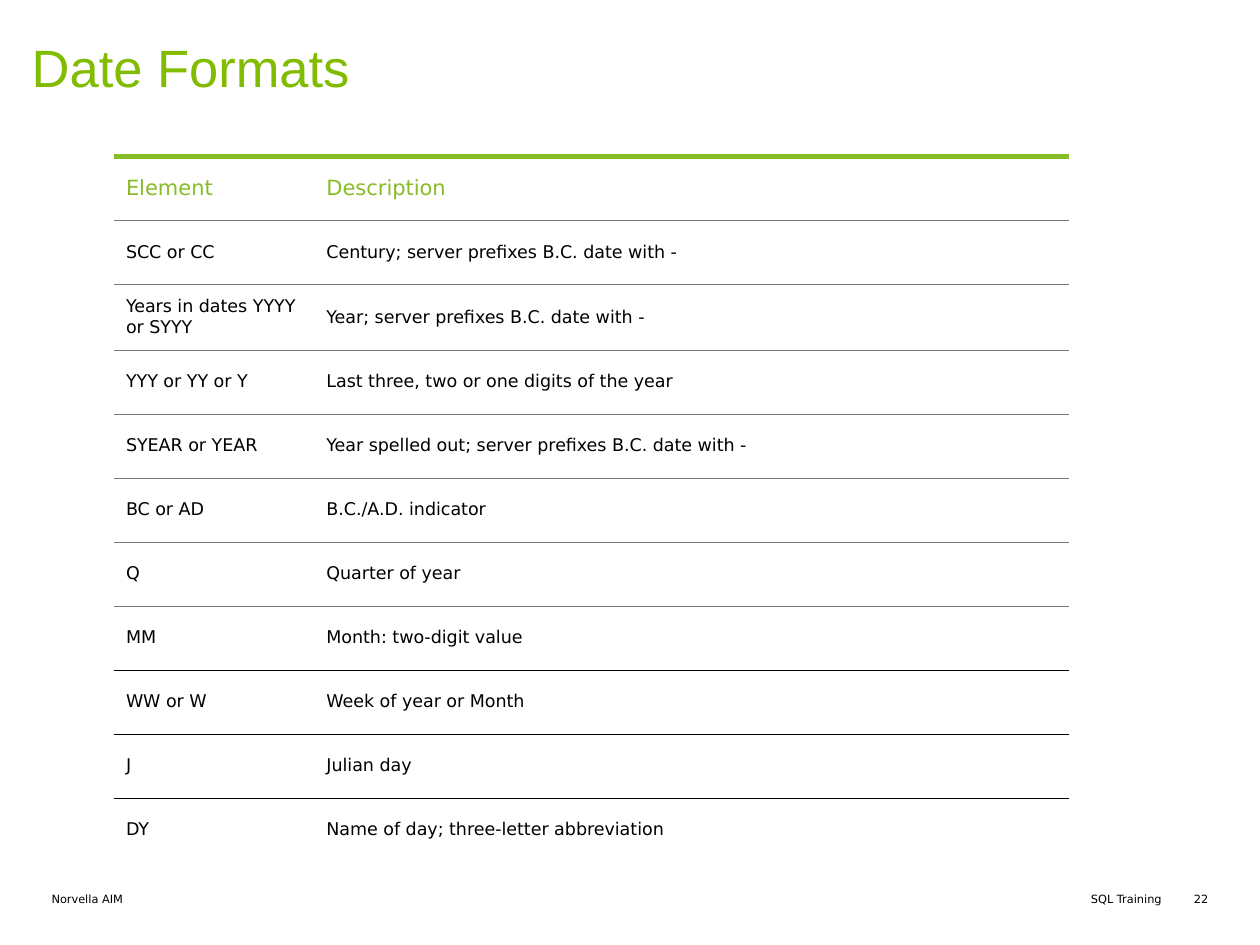
import pptx
import pptx.util
import pptx.dml.color
import pptx.enum.text
import pptx.oxml
import pptx.oxml.ns

Cm = pptx.util.Cm
Pt = pptx.util.Pt
RGBColor = pptx.dml.color.RGBColor
PP_ALIGN = pptx.enum.text.PP_ALIGN
MSO_ANCHOR = pptx.enum.text.MSO_ANCHOR

TITLE_GREEN = RGBColor(0x81, 0xBC, 0x00)
GREEN = RGBColor(0x86, 0xBC, 0x25)
GRAY = RGBColor(0x75, 0x78, 0x7B)
BLACK = RGBColor(0, 0, 0)
BODY_FONT = "DejaVu Sans"


def add_run(p, text, size, color, font=BODY_FONT):
    r = p.add_run()
    r.text = text
    r.font.size = Pt(size)
    r.font.name = font
    r.font.bold = False
    r.font.color.rgb = color


def set_borders(cell, top, bottom):
    sides = [("lnL", None), ("lnR", None), ("lnT", top), ("lnB", bottom)]
    for i, (tag, line) in enumerate(sides):
        if line:
            color, width = line
            fill = f'<a:solidFill><a:srgbClr val="{color}"/></a:solidFill>'
        else:
            width, fill = 0, "<a:noFill/>"
        ln = pptx.oxml.parse_xml(
            f'<a:{tag} {pptx.oxml.ns.nsdecls("a")} w="{Pt(width)}">{fill}</a:{tag}>'
        )
        cell._tc.get_or_add_tcPr().insert(i, ln)


prs = pptx.Presentation()
prs.slide_width = Cm(25.4)
prs.slide_height = Cm(19.05)
s = prs.slides.add_slide(prs.slide_layouts[5])

title = s.shapes.title
title.left, title.top, title.width, title.height = Cm(0.64), Cm(0.61), Cm(23.32), Cm(1.93)
tf = title.text_frame
tf.margin_left = tf.margin_right = tf.margin_bottom = 0
tf.margin_top = Cm(0.1)
tf.vertical_anchor = MSO_ANCHOR.TOP
p = tf.paragraphs[0]
p.alignment = PP_ALIGN.LEFT
add_run(p, "Date Formats", 30, TITLE_GREEN, "Arial")

rows = [
    ("Element", "Description"),
    ("SCC or CC", "Century; server prefixes B.C. date with -"),
    ("Years in dates YYYY or SYYY", "Year; server prefixes B.C. date with -"),
    ("YYY or YY or Y", "Last three, two or one digits of the year"),
    ("SYEAR or YEAR", "Year spelled out; server prefixes B.C. date with -"),
    ("BC or AD", "B.C./A.D. indicator"),
    ("Q", "Quarter of year"),
    ("MM", "Month: two-digit value"),
    ("WW or W", "Week of year or Month"),
    ("J", "Julian day"),
    ("DY", "Name of day; three-letter abbreviation"),
]
rules = [(GREEN, 3)] + [(GRAY, 0.25)] * 7 + [(BLACK, 0.25)] * 3 + [None]
col_widths = [Cm(4.04), Cm(15.21)]
row_height = Cm(1.29)

table = s.shapes.add_table(
    len(rows), 2, Cm(2.29), Cm(3.15), sum(col_widths), row_height * len(rows)
).table
table.first_row = False
table.horz_banding = False
for col, width in zip(table.columns, col_widths):
    col.width = width

for i, texts in enumerate(rows):
    table.rows[i].height = row_height
    size, color = (12, GREEN) if i == 0 else (10, BLACK)
    for j, text in enumerate(texts):
        cell = table.cell(i, j)
        cell.fill.background()
        cell.vertical_anchor = MSO_ANCHOR.MIDDLE
        cell.margin_left = cell.margin_right = Cm(0.25)
        cell.margin_top = cell.margin_bottom = Cm(0.25)
        add_run(cell.text_frame.paragraphs[0], text, size, color)
        set_borders(cell, rules[i], rules[i + 1])

footers = [
    ("Norvella AIM", 1.04, 11.15, 0.56, PP_ALIGN.LEFT),
    ("SQL Training", 13.21, 10.21, 0.56, PP_ALIGN.RIGHT),
    ("22", 23.72, 0.64, 0.28, PP_ALIGN.RIGHT),
]
for text, left, width, height, align in footers:
    sp = s.shapes.add_textbox(Cm(left), Cm(17.98), Cm(width), Cm(height))
    tf = sp.text_frame
    tf.word_wrap = True
    tf.margin_left = tf.margin_right = tf.margin_top = tf.margin_bottom = 0
    p = tf.paragraphs[0]
    p.alignment = align
    add_run(p, text, 6.5, BLACK)

prs.save("out.pptx")
